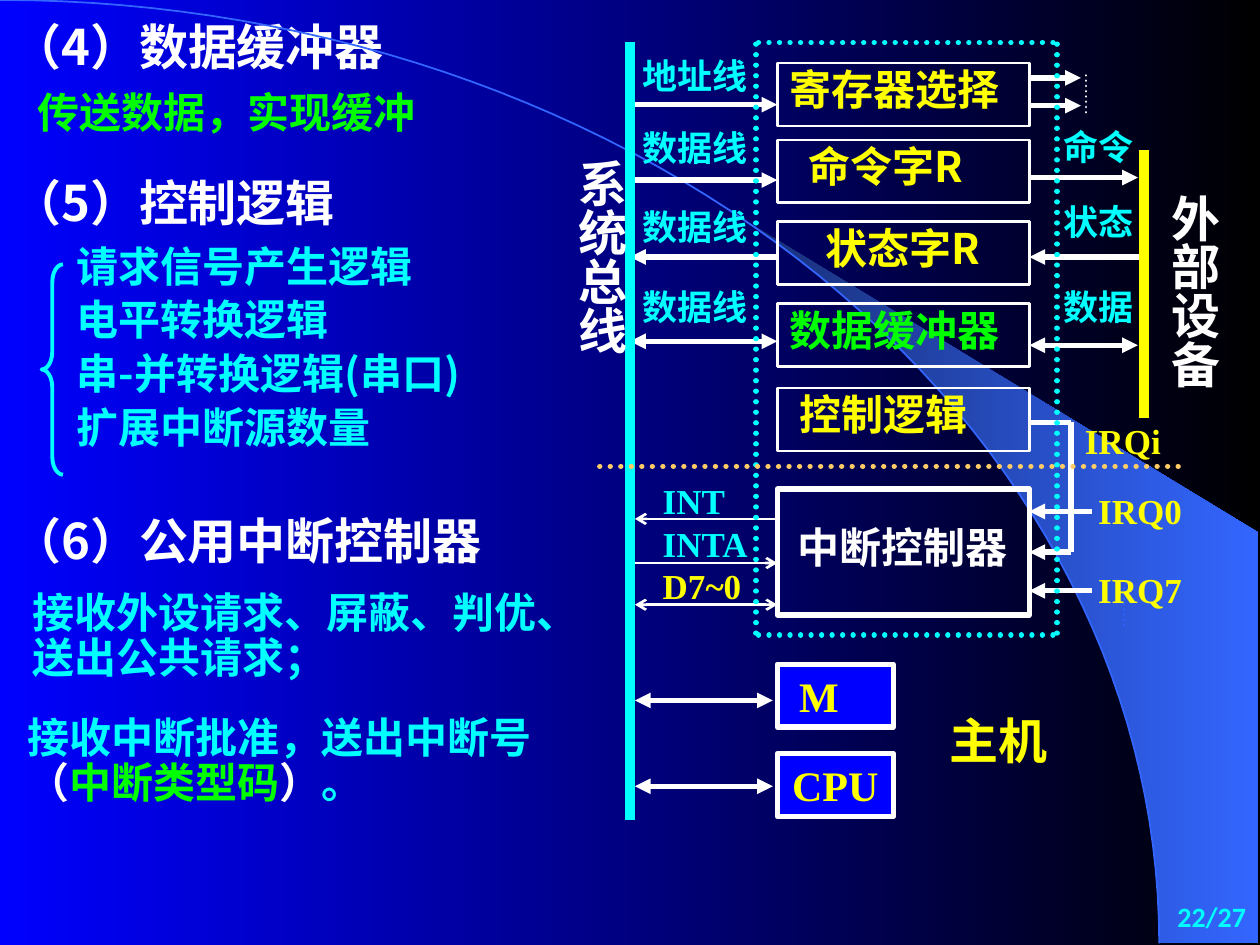
from math import asin, cos, pi, sin
from typing import NamedTuple

from lxml.etree import SubElement
from pptx import Presentation
from pptx.dml.color import RGBColor
from pptx.enum.dml import MSO_LINE
from pptx.enum.shapes import MSO_CONNECTOR, MSO_SHAPE
from pptx.enum.text import MSO_ANCHOR, MSO_AUTO_SIZE, PP_ALIGN
from pptx.oxml.ns import qn
from pptx.util import Cm, Pt

WHITE = RGBColor(0xFF, 0xFF, 0xFF)
BLACK = RGBColor(0x00, 0x00, 0x00)
BLUE = RGBColor(0x00, 0x00, 0xFF)
CYAN = RGBColor(0x00, 0xFF, 0xFF)
GREEN = RGBColor(0x00, 0xFF, 0x00)
YELLOW = RGBColor(0xFF, 0xFF, 0x00)
GOLD = RGBColor(0xFF, 0xCC, 0x66)
SKY = RGBColor(0x33, 0x66, 0xFF)
NAVY = RGBColor(0x18, 0x2F, 0x76)
SANS, SERIF, PLAIN = "Noto Sans CJK SC", "Times New Roman", "Calibri"

# Key columns of the diagram, in cm
BUS, LEFT, RIGHT, DEV = 12.7, 15.67, 20.75, 23.06
ARC_W, ARC_H = 23.37, 19.02


class Label(NamedTuple):
    text: str
    x: float
    y: float
    w: float
    h: float
    size: int = 20
    color: RGBColor = CYAN
    font: str = SERIF
    align: PP_ALIGN = PP_ALIGN.LEFT


class Box(NamedTuple):
    text: str
    y: float
    w: float = 5.08
    h: float = 1.27
    line: float = 1.5
    color: RGBColor = YELLOW
    font: str = SANS
    pad: float = 0
    align: PP_ALIGN = PP_ALIGN.LEFT
    fill: RGBColor | None = None


class Wire(NamedTuple):
    x1: float
    y1: float
    x2: float
    y2: float
    ends: str = ""
    width: float = 3
    color: RGBColor = WHITE
    head: str = "triangle"
    dots: bool = False


def style(run, size: int, color: RGBColor, font: str) -> None:
    run.font.size, run.font.bold, run.font.name = Pt(size), True, font
    run.font.color.rgb = color
    SubElement(run.font._element, qn("a:ea")).set("typeface", SANS)


def setup(frame, pad: float = 0) -> None:
    frame.word_wrap = True
    frame.auto_size = MSO_AUTO_SIZE.NONE
    frame.vertical_anchor = MSO_ANCHOR.TOP
    frame.margin_left, frame.margin_right = Cm(0.25 + pad), Cm(0.25)
    frame.margin_top = frame.margin_bottom = Cm(0.13)


def write(frame, text: str, size: int, color: RGBColor, font: str,
          align: PP_ALIGN = PP_ALIGN.LEFT) -> None:
    frame.text = text
    for para in frame.paragraphs:
        para.alignment = align
        if not text.isascii():
            para.line_spacing = 0.9
        for run in para.runs:
            style(run, size, color, font)


def place(shape, x: float, y: float, w: float, h: float) -> None:
    shape.left, shape.top, shape.width, shape.height = map(Cm, (x, y, w, h))


def add_label(shapes, item: Label):
    box = shapes.add_textbox(*map(Cm, item[1:5]))
    setup(box.text_frame)
    write(box.text_frame, item.text, item.size, item.color, item.font, item.align)
    return box


def add_box(shapes, item: Box) -> None:
    box = shapes.add_shape(MSO_SHAPE.RECTANGLE, *map(Cm, (LEFT, item.y, item.w, item.h)))
    box.shadow.inherit = False
    if item.fill is None:
        box.fill.background()
    else:
        box.fill.solid()
        box.fill.fore_color.rgb = item.fill
    box.line.color.rgb, box.line.width = WHITE, Pt(item.line)
    if item.text:
        setup(box.text_frame, item.pad)
        write(box.text_frame, item.text, 24, item.color, item.font, item.align)


def add_wire(shapes, item: Wire) -> None:
    wire = shapes.add_connector(MSO_CONNECTOR.STRAIGHT, *map(Cm, item[:4]))
    wire.line.color.rgb, wire.line.width = item.color, Pt(item.width)
    if item.dots:
        wire.line.dash_style = MSO_LINE.ROUND_DOT
    props = wire._element.spPr
    line = props.find(qn("a:ln"))
    if item.dots:
        line.set("cap", "rnd")
    for mark, tag in (("<", "a:headEnd"), (">", "a:tailEnd")):
        if mark in item.ends:
            SubElement(line, qn(tag)).set("type", item.head)
    SubElement(props, qn("a:effectLst"))


def shade(fill, first: RGBColor, last: RGBColor) -> None:
    fill.gradient()
    fill.gradient_angle = 0
    for stop, color, pos in zip(fill.gradient_stops, (first, last), (0, 1)):
        stop.color.rgb, stop.position = color, pos


def arc(start: float, steps: int = 60) -> list[tuple[int, int]]:
    turns = [start + (pi / 2 - start) * i / steps for i in range(steps + 1)]
    return [(Cm(ARC_W * sin(t)), Cm(ARC_H * (1 - cos(t)))) for t in turns]


def add_path(shapes, dots: list[tuple[int, int]], close: bool):
    path = shapes.build_freeform(*dots[0])
    path.add_line_segments(dots[1:], close=close)
    shape = path.convert_to_shape()
    shape.shadow.inherit = False
    return shape


def main() -> None:
    deck = Presentation()
    deck.slide_width, deck.slide_height = Cm(25.4), Cm(19.05)
    slide = deck.slides.add_slide(deck.slide_layouts[1])
    shapes = slide.shapes

    # Backdrop: gradient, bright wedge and arc
    shade(slide.background.fill, BLUE, BLACK)
    wedge = add_path(shapes, arc(asin(0.64)) + [(Cm(25.37), Cm(ARC_H)), (Cm(25.37), Cm(10.74))], True)
    shade(wedge.fill, NAVY, SKY)
    wedge.line.fill.background()
    curve = add_path(shapes, arc(0), False)
    curve.fill.background()
    curve.line.color.rgb, curve.line.width = SKY, Pt(1)

    # Title and list of control logic
    title, body = shapes.title, slide.placeholders[1]
    place(title, 0, 0.33, 11, 1.45)
    setup(title.text_frame)
    write(title.text_frame, "（4）数据缓冲器", 28, WHITE, SANS)
    place(body, 1.3, 4.83, 9.5, 5.08)
    setup(body.text_frame)
    logic = ("请求信号产生逻辑", "电平转换逻辑", "串-并转换逻辑(串口)", "扩展中断源数量")
    write(body.text_frame, "\n".join(logic), 24, CYAN, SANS)
    for i, para in enumerate(body.text_frame.paragraphs):
        para.space_before = Pt(4.7 if i else 0)
        props = para._p.get_or_add_pPr()
        props.set("marL", "0")
        props.set("indent", "0")
        SubElement(props, qn("a:buNone"))
    brace = shapes.add_shape(MSO_SHAPE.LEFT_BRACE, *map(Cm, (0.84, 5.33, 0.43, 4.24)))
    brace.shadow.inherit = False
    brace.adjustments[0] = 0.83
    brace.fill.background()
    brace.line.color.rgb, brace.line.width = CYAN, Pt(2.25)

    # Other notes on the left, page number
    for item in (
        Label("传送数据，实现缓冲", 0.51, 1.73, 9.2, 1.27, 24, GREEN, SANS),
        Label("（5）控制逻辑", 0, 3.48, 11, 1.45, 28, WHITE, SANS),
        Label("（6）公用中断控制器", 0, 10.29, 11.86, 1.45, 28, WHITE, SANS),
        Label("接收外设请求、屏蔽、判优、送出公共请求；", 0.41, 11.81, 11.5, 2.29, 24, CYAN, SANS),
        Label("22/27", 22.7, 18, 2.67, 1, 16, CYAN, PLAIN, PP_ALIGN.RIGHT),
    ):
        add_label(shapes, item)
    reply = add_label(shapes, Label("接收中断批准，送出中断号", 0.3, 14.33, 11.4, 2.29, 24, CYAN, SANS))
    for text, color in (("（", WHITE), ("中断类型码", GREEN), ("）", WHITE), ("。", CYAN)):
        run = reply.text_frame.paragraphs[0].add_run()
        run.text = text
        style(run, 24, color, SANS)

    # Blocks of the interface and the host
    for item in (
        Box("寄存器选择", 1.27),
        Box("命令字R", 2.82, pad=0.38),
        Box("状态字R", 4.47, align=PP_ALIGN.CENTER),
        Box("数据缓冲器", 6.12, color=GREEN),
        Box("控制逻辑", 7.82, pad=0.19),
        Box("", 9.86, h=2.54, line=3),
        Box("M", 13.39, 2.34, line=3, font=SERIF, pad=0.19, fill=BLUE),
        Box("CPU", 15.19, 2.34, line=3, font=SERIF, align=PP_ALIGN.CENTER, fill=BLUE),
    ):
        add_box(shapes, item)

    # Signal wires
    for item in (
        *(Wire(BUS, y, LEFT, y, e) for y, e in ((2.11, ">"), (3.63, ">"), (5.18, "<"), (6.88, "<>"))),
        *(Wire(12.8, y, LEFT, y, e, 1.5, head="arrow") for y, e in ((10.46, "<"), (11.35, ">"), (12.19, "<>"))),
        *(Wire(12.8, y, 15.58, y, "<>") for y in (14.12, 15.85)),
        *(Wire(RIGHT, y, 21.79, y, ">") for y in (1.57, 2.13)),
        *(Wire(RIGHT, y, 22.02, y, "<") for y in (10.31, 11.91)),
        Wire(RIGHT, 3.58, 22.94, 3.58, ">"),
        Wire(RIGHT, 5.18, DEV, 5.18, "<"),
        Wire(RIGHT, 6.96, 22.94, 6.96, "<>"),
        Wire(RIGHT, 8.51, 21.59, 8.51),
        Wire(21.59, 8.51, 21.59, 11.13),
        Wire(RIGHT, 11.13, 21.59, 11.13, "<"),
        # Buses, then dotted borders
        Wire(BUS, 0.84, BUS, 16.54, width=6, color=CYAN),
        Wire(DEV, 3.02, DEV, 8.43, width=6, color=YELLOW),
        *(Wire(x, 0.89, x, y, color=CYAN, dots=True) for x, y in ((15.24, 12.9), (21.31, 12.8))),
        *(Wire(15.29, y, 21.31, y, color=CYAN, dots=True) for y in (0.86, 12.8)),
        Wire(12.09, 9.4, 23.9, 9.4, color=GOLD, dots=True),
        Wire(21.89, 1.52, 21.89, 2.36, width=1.5, dots=True),
        Wire(22.66, 11.86, 22.66, 12.7, width=1.5, color=SKY, dots=True),
    ):
        add_wire(shapes, item)

    # Labels of the diagram
    for item in (
        Label("地址线", BUS, 1.07, 4.65, 1.12),
        *(Label("数据线", BUS, y, 4.65, 1.12) for y in (2.51, 4.11, 5.72)),
        *(Label(t, 21.18, y, 2.49, 1.12) for t, y in (("命令", 2.49), ("状态", 4.01), ("数据", 5.72))),
        Label("INT", 13.11, 9.53, 1.9, 1.12),
        Label("INTA", 13.11, 10.41, 2.4, 1.12),
        Label("D7~0", 13.11, 11.25, 2.49, 1.12, color=YELLOW),
        Label("IRQi", 21.62, 8.33, 2.79, 1.12, color=YELLOW),
        *(Label(t, 21.89, y, 3, 1.12, color=YELLOW) for t, y in (("IRQ0", 9.73), ("IRQ7", 11.33))),
        Label("中断控制器", 15.82, 10.49, 5.08, 1.27, 24, WHITE, SANS),
        Label("主机", 18.9, 14.33, 4.19, 1.45, 28, YELLOW),
    ):
        add_label(shapes, item)
    for text, x, y, h in (("系统总线", 11.02, 2.97, 5.28), ("外部设备", 22.99, 3.66, 5.08)):
        box = add_label(shapes, Label(text, x, y, 1.68, h, 28, WHITE, SANS))
        frame = box.text_frame
        frame.margin_left = frame.margin_right = Cm(0.13)
        frame.margin_top = frame.margin_bottom = Cm(0.25)
        frame._txBody.bodyPr.set("vert", "eaVert")

    deck.save("out.pptx")


if __name__ == "__main__":
    main()
